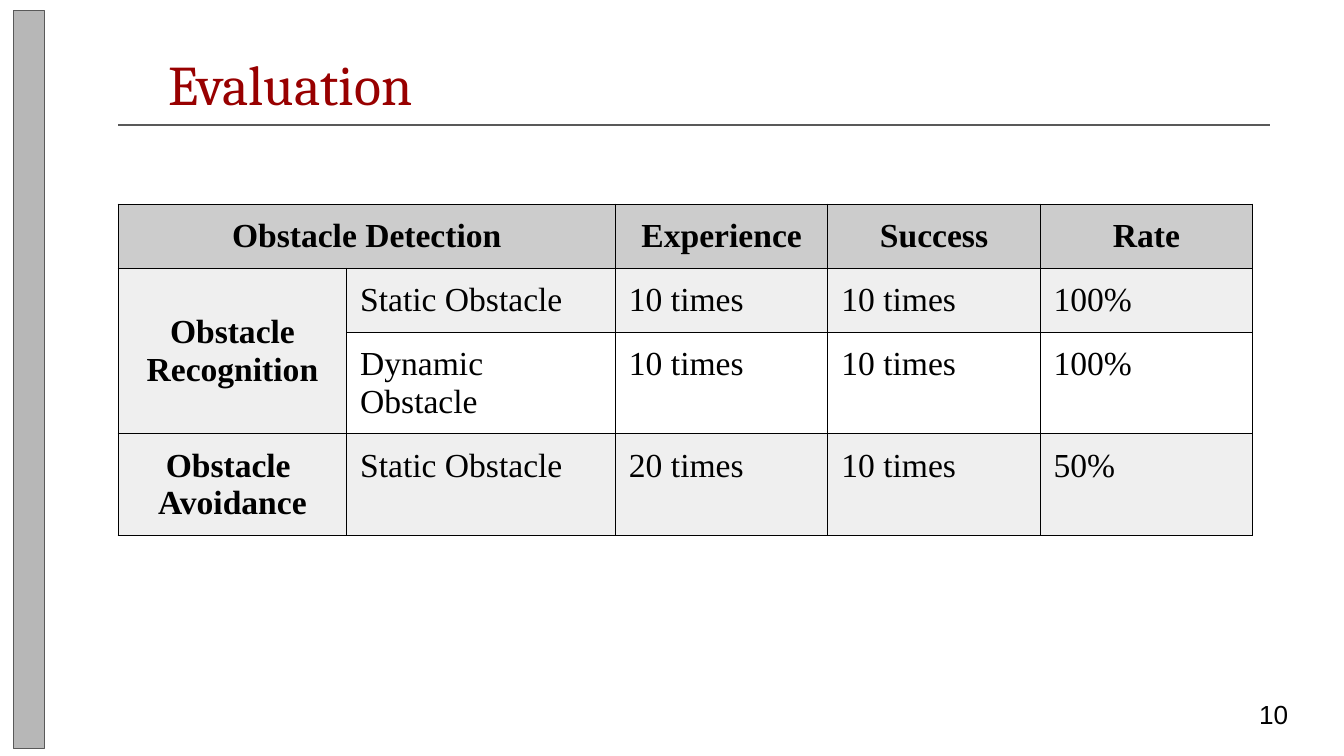
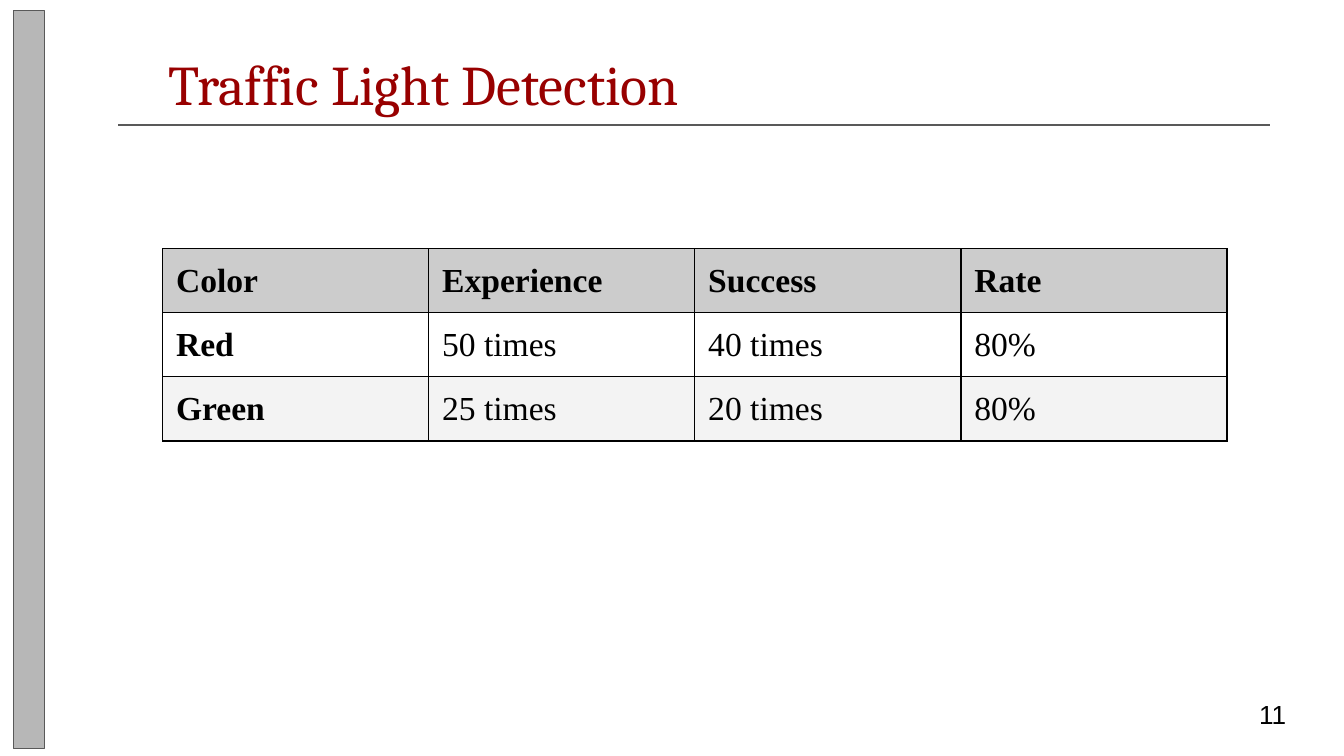
import dataclasses

import pptx
import pptx.dml.color
import pptx.enum.shapes
import pptx.enum.text
import pptx.oxml
import pptx.oxml.ns
import pptx.util

ALIGN = pptx.enum.text.PP_ALIGN
ANCHOR = pptx.enum.text.MSO_ANCHOR
EMU_PER_PX = 9144
SLIDE_WIDTH = 1000
INSET = 10
ROW_HEIGHT = 42


@dataclasses.dataclass(frozen=True)
class Theme:
    """Colours, fonts and type sizes shared by the slides."""

    band: str = "B7B7B7"
    rule: str = "595959"
    title: str = "980000"
    text: str = "000000"
    border: str = "000000"
    header: str = "CCCCCC"
    plain: str = "FFFFFF"
    shaded: str = "EFEFEF"
    pale: str = "F3F3F3"
    title_font: str = "Cambria"
    table_font: str = "Times New Roman"
    number_font: str = "Arial"
    title_size: int = 30
    table_size: int = 18
    number_size: int = 14
    line_width: float = 0.75


THEME = Theme()


def px(length):
    """Turn a length in px into EMU."""
    return pptx.util.Emu(length * EMU_PER_PX)


def rgb(colour):
    """Turn a hex colour into an RGBColor."""
    return pptx.dml.color.RGBColor.from_string(colour)


def set_attributes(target, values):
    """Set each attribute of the target from a dict of format values."""
    for name, value in values.items():
        setattr(target, name, value)


def set_insets(target):
    """Give a text frame or a cell the shared insets."""
    set_attributes(target, {f"margin_{side}": px(INSET)
                            for side in ("left", "top", "right", "bottom")})


def place(shape, left, top, width, height):
    """Move and size a shape in px."""
    set_attributes(shape, {"left": px(left), "top": px(top),
                           "width": px(width), "height": px(height)})


def set_line(line):
    """Give a line the shared colour and width."""
    line.color.rgb = rgb(THEME.rule)
    line.width = pptx.util.Pt(THEME.line_width)


def format_text(frame, font, size, colour, bold=False, align=ALIGN.LEFT):
    """Format every paragraph of a text frame."""
    for paragraph in frame.paragraphs:
        paragraph.alignment = align
        for run in paragraph.runs:
            set_attributes(run.font, {"name": font, "size": pptx.util.Pt(size), "bold": bold})
            run.font.color.rgb = rgb(colour)


def set_frame(frame, anchor):
    """Give a text frame the shared insets and its anchor."""
    set_attributes(frame, {"word_wrap": True, "vertical_anchor": anchor,
                           "auto_size": pptx.enum.text.MSO_AUTO_SIZE.NONE})
    set_insets(frame)


def add_band(slide):
    """Draw the grey band on the left edge."""
    band = slide.shapes.add_shape(pptx.enum.shapes.MSO_SHAPE.RECTANGLE,
                                  px(10), px(8), px(23), px(549))
    band.shadow.inherit = False
    band.fill.solid()
    band.fill.fore_color.rgb = rgb(THEME.band)
    set_line(band.line)


def add_title(slide, text, width):
    """Fill the title placeholder and draw the rule under it."""
    title = slide.shapes.title
    place(title, 115, 27, width, 108)
    title.text_frame.text = text
    set_frame(title.text_frame, ANCHOR.TOP)
    format_text(title.text_frame, THEME.title_font, THEME.title_size, THEME.title)
    rule = slide.shapes.add_connector(pptx.enum.shapes.MSO_CONNECTOR.STRAIGHT,
                                      px(88), px(93), px(945), px(93))
    set_line(rule.line)
    properties = rule.element.find(pptx.oxml.ns.qn("p:spPr"))
    properties.append(pptx.oxml.parse_xml(f"<a:effectLst {pptx.oxml.ns.nsdecls('a')}/>"))


def add_number(slide, number):
    """Write the page number at the bottom right."""
    frame = slide.shapes.add_textbox(px(927), px(510), px(60), px(43)).text_frame
    frame.text = str(number)
    set_frame(frame, ANCHOR.MIDDLE)
    format_text(frame, THEME.number_font, THEME.number_size, THEME.text)


def add_slide(presentation, title, title_width, number):
    """Add a slide with the shared band, title and page number."""
    slide = presentation.slides.add_slide(presentation.slide_layouts[5])
    add_band(slide)
    add_number(slide, number)
    add_title(slide, title, title_width)
    return slide


def set_borders(cell):
    """Draw a thin line on all four sides of a cell."""
    properties = cell._tc.get_or_add_tcPr()
    width = pptx.util.Pt(THEME.line_width)
    for index, side in enumerate("LRTB"):
        properties.insert(index, pptx.oxml.parse_xml(
            f'<a:ln{side} {pptx.oxml.ns.nsdecls("a")} w="{width}"><a:solidFill>'
            f'<a:srgbClr val="{THEME.border}"/></a:solidFill></a:ln{side}>'))


def set_cell(cell, text, fill, bold, align, anchor):
    """Fill, border and write one table cell."""
    set_insets(cell)
    cell.vertical_anchor = anchor
    cell.fill.solid()
    cell.fill.fore_color.rgb = rgb(fill)
    set_borders(cell)
    if text:
        cell.text_frame.text = text
        format_text(cell.text_frame, THEME.table_font, THEME.table_size, THEME.text, bold, align)


def add_result_table(slide, left, top, widths, rows, fills,
                     heading_align=ALIGN.LEFT, label_anchor=ANCHOR.TOP, merges=()):
    """Add a table with a bold first row and a bold first column."""
    table = slide.shapes.add_table(len(rows), len(widths), px(left), px(top),
                                   px(sum(widths)), px(ROW_HEIGHT * len(rows))).table
    for column, width in zip(table.columns, widths):
        column.width = px(width)
    for row_index, (row, fill) in enumerate(zip(rows, fills)):
        for column_index, text in enumerate(row):
            heading = row_index == 0 or column_index == 0
            label = row_index > 0 and column_index == 0
            set_cell(table.cell(row_index, column_index), text, fill, heading,
                     heading_align if heading else ALIGN.LEFT,
                     label_anchor if label else ANCHOR.TOP)
    for first, last in merges:
        table.cell(*first).merge(table.cell(*last))


def main():
    """Build the two result slides."""
    presentation = pptx.Presentation()
    set_attributes(presentation, {"slide_width": px(SLIDE_WIDTH),
                                  "slide_height": px(SLIDE_WIDTH) * 9 // 16})

    evaluation = add_slide(presentation, "Evaluation", 915, 10)
    add_result_table(
        evaluation, 88, 152, [170, 200, 158, 158, 158],
        [["Obstacle Detection", "", "Experience", "Success", "Rate"],
         ["Obstacle\nRecognition", "Static Obstacle", "10 times", "10 times", "100%"],
         ["", "Dynamic Obstacle", "10 times", "10 times", "100%"],
         ["Obstacle \nAvoidance", "Static Obstacle", "20 times", "10 times", "50%"]],
        [THEME.header, THEME.shaded, THEME.plain, THEME.shaded],
        ALIGN.CENTER, ANCHOR.MIDDLE, [((0, 0), (0, 1)), ((1, 0), (2, 0))])

    traffic_light = add_slide(presentation, "Traffic Light Detection", 665, 11)
    add_result_table(
        traffic_light, 121, 185, [198] * 4,
        [["Color", "Experience", "Success", "Rate"],
         ["Red", "50 times", "40 times", "80%"],
         ["Green", "25 times", "20 times", "80%"]],
        [THEME.header, THEME.plain, THEME.pale])

    presentation.save("out.pptx")


if __name__ == "__main__":
    main()
